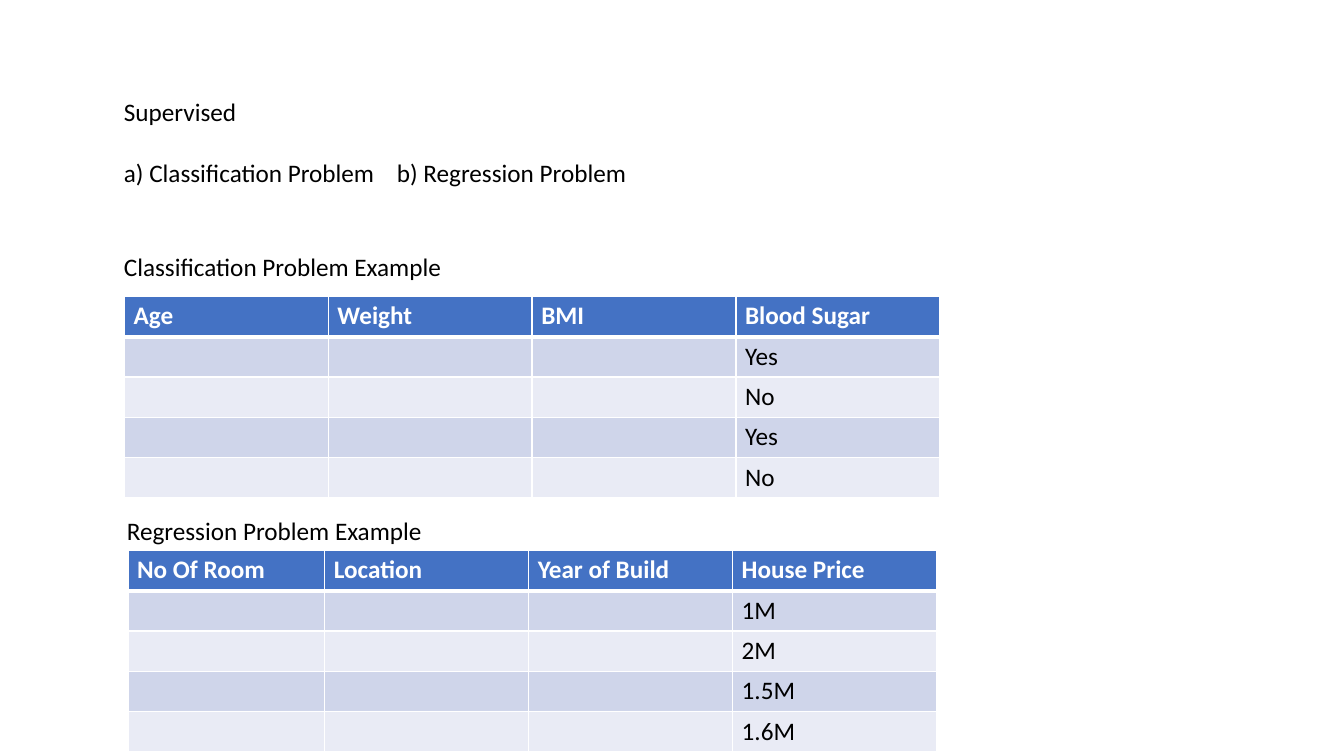
from lxml import etree
from pptx import Presentation
from pptx.dml.color import RGBColor
from pptx.enum.text import MSO_ANCHOR
from pptx.oxml.ns import qn
from pptx.util import Pt

TOP = MSO_ANCHOR.TOP
BLACK = RGBColor(0x00, 0x00, 0x00)
WHITE = RGBColor(0xFF, 0xFF, 0xFF)
HEADER_BLUE = RGBColor(0x44, 0x72, 0xC4)
BAND_DARK = RGBColor(0xCF, 0xD5, 0xEA)
BAND_LIGHT = RGBColor(0xE9, 0xEB, 0xF5)

ROW_HEIGHT = 28.8
THIN, THICK = 1, 3
CELL_FORMAT = {
    "margin_left": Pt(6.6),
    "margin_right": Pt(6.6),
    "margin_top": Pt(3.3),
    "margin_bottom": Pt(3.3),
    "vertical_anchor": TOP,
}


def write(para, text, color=BLACK, bold=False):
    span = para.add_run()
    span.text = text
    span.font.color.rgb = color
    for name, value in {"name": "Calibri", "size": Pt(18), "bold": bold}.items():
        setattr(span.font, name, value)


def add_text(page, box, lines, gap=0, tab=None):
    frame = page.shapes.add_textbox(*map(Pt, box)).text_frame
    frame.word_wrap = True
    for index, line in enumerate(lines):
        para = frame.add_paragraph() if index else frame.paragraphs[0]
        para.space_before = Pt(gap if index else 0)
        write(para, line)
        if tab and "\t" in line:
            stops = etree.SubElement(para._p.get_or_add_pPr(), qn("a:tabLst"))
            etree.SubElement(stops, qn("a:tab"), pos=str(Pt(tab)), algn="l")


def add_borders(cell, widths):
    properties = cell._tc.get_or_add_tcPr()
    for side, width in widths.items():
        line = etree.SubElement(properties, qn(f"a:ln{side}"), w=str(Pt(width)))
        fill = etree.SubElement(line, qn("a:solidFill"))
        etree.SubElement(fill, qn("a:srgbClr"), val=str(WHITE))


def add_example_table(page, box, widths, headers, outcomes):
    left, top = box
    blanks = [""] * (len(headers) - 1)
    rows = [headers] + [blanks + [outcome] for outcome in outcomes]
    height = ROW_HEIGHT * len(rows)
    table = page.shapes.add_table(
        len(rows), len(headers), Pt(left), Pt(top), Pt(sum(widths)), Pt(height)
    ).table
    for column, width in zip(table.columns, widths):
        column.width = Pt(width)
    for row_index, texts in enumerate(rows):
        table.rows[row_index].height = Pt(ROW_HEIGHT)
        is_header = row_index == 0
        band = BAND_DARK if row_index % 2 else BAND_LIGHT
        for column_index, text in enumerate(texts):
            cell = table.cell(row_index, column_index)
            for name, value in CELL_FORMAT.items():
                setattr(cell, name, value)
            add_borders(cell, {
                "L": THIN,
                "R": THIN,
                "T": THICK if row_index == 1 else THIN,
                "B": THICK if is_header else THIN,
            })
            cell.fill.solid()
            cell.fill.fore_color.rgb = HEADER_BLUE if is_header else band
            if text:
                write(cell.text_frame.paragraphs[0], text,
                      WHITE if is_header else BLACK, is_header)


deck = Presentation()
deck.slide_width, deck.slide_height = Pt(960), Pt(540)
page = deck.slides.add_slide(deck.slide_layouts[6])

add_text(page, (81.4, 65.5, 818, 72.7),
         ["Supervised", "a) Classification Problem\tb) Regression Problem"],
         gap=22, tab=195)
add_text(page, (81.4, 175.9, 813, 29), ["Classification Problem Example"])
add_example_table(page, (88.9, 211.7), [145.6] * 4,
                  ["Age", "Weight", "BMI", "Blood Sugar"],
                  ["Yes", "No", "Yes", "No"])
add_text(page, (83.5, 364.3, 813, 29), ["Regression Problem Example"])
add_example_table(page, (91.4, 393.1), [140.6] + [145.6] * 3,
                  ["No Of Room", "Location", "Year of Build", "House Price"],
                  ["1M", "2M", "1.5M", "1.6M"])

deck.save("out.pptx")
